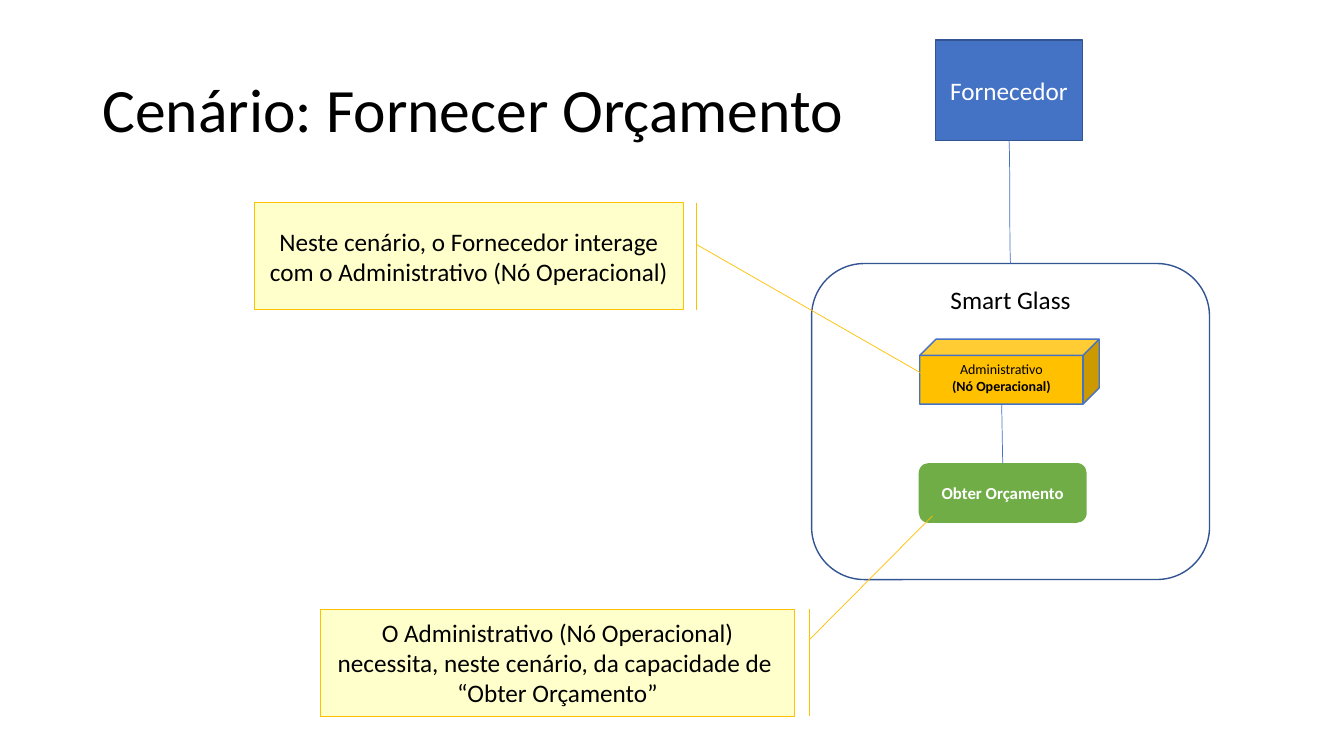
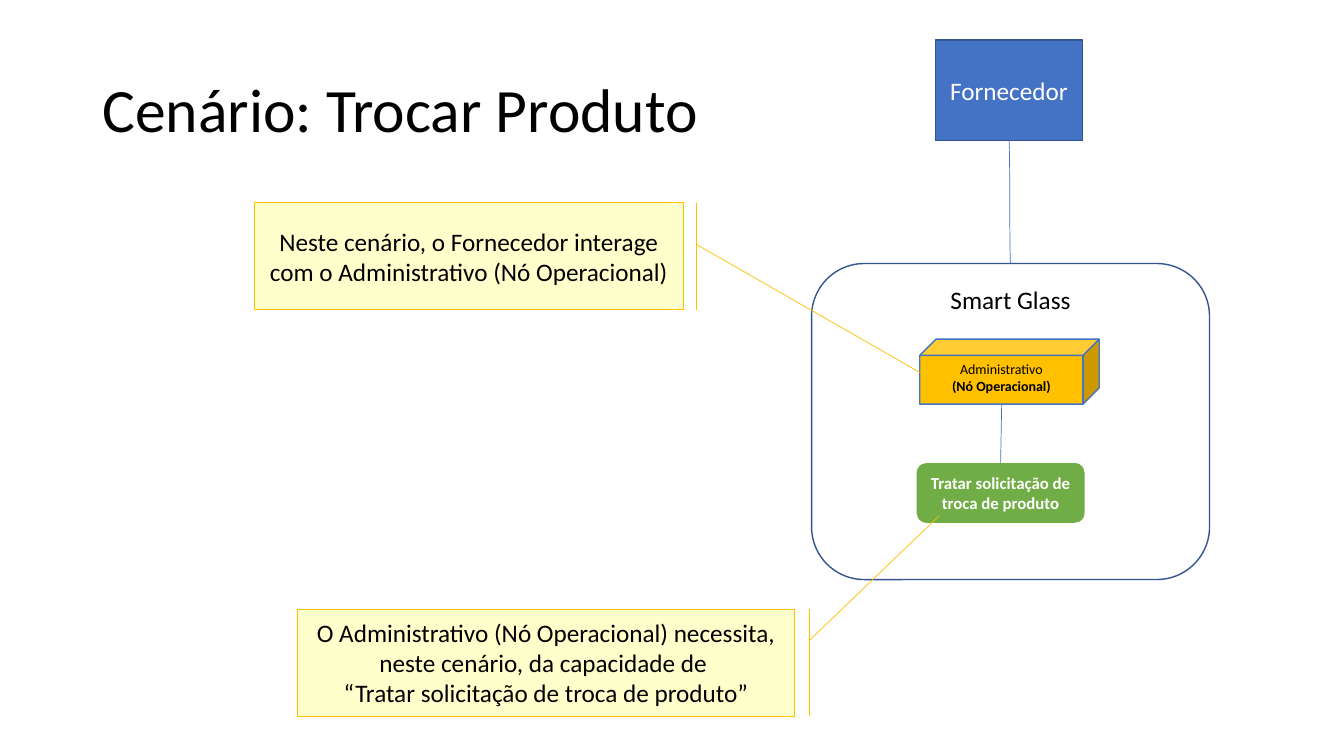
from pptx import Presentation
from pptx.dml.color import RGBColor
from pptx.enum.shapes import MSO_CONNECTOR, MSO_SHAPE
from pptx.enum.text import MSO_ANCHOR, MSO_AUTO_SIZE, PP_ALIGN
from pptx.oxml.ns import qn
from pptx.util import Emu, Pt
from lxml import etree

RECTANGLE = MSO_SHAPE.RECTANGLE
ROUNDED = MSO_SHAPE.ROUNDED_RECTANGLE
CUBE = MSO_SHAPE.CUBE
CALLOUT = MSO_SHAPE.LINE_CALLOUT_1_BORDER_AND_ACCENT_BAR
STRAIGHT = MSO_CONNECTOR.STRAIGHT
CURVE = MSO_CONNECTOR.CURVE
TOP = MSO_ANCHOR.TOP
MIDDLE = MSO_ANCHOR.MIDDLE
LEFT = PP_ALIGN.LEFT
CENTER = PP_ALIGN.CENTER
NO_AUTOFIT = MSO_AUTO_SIZE.NONE

TITLE_ONLY = 5
SITE_TOP, SITE_BOTTOM = 0, 2
FONT = "Calibri"
BLACK, WHITE = "000000", "FFFFFF"
BLUE, DARK_BLUE = "4472C4", "325491"
GOLD, GREEN, CREAM = "FFC000", "70AD47", "FFFFCC"

ACTOR_BOX = (891, 38, 140, 96)
SYSTEM_BOX = (773, 251, 379, 301)
NODE_BOX = (876, 323, 171, 62)
NODE_EXIT = (954, 385)
CAPABILITY_TOP, CAPABILITY_SIZE = 441, (160, 57)
ACTOR_NOTE_BOX = (242, 193, 409, 102)
NEED_NOTE_TOP, NEED_NOTE_RIGHT, NEED_NOTE_HEIGHT = 580, 757, 102
ACTOR_POINTER = (0.39, 1.03, 1.63, 1.57)
NEED_POINTER = (0.29, 1.03, -0.87, 1.29)

SCENARIOS = [
    ("Fornecer Orçamento", "Obter Orçamento", 875, 305),
    ("Trocar Produto", "Tratar solicitação de troca de produto", 873, 283),
]


def px(length):
    """Turn whole pixels into EMU."""
    return Emu(length * 9525)


def color(value):
    """Turn a hex string into a colour."""
    return RGBColor.from_string(value)


class Deck:
    """Hold the shared style and the current slide."""

    def __init__(self):
        """Start an empty widescreen presentation."""
        self.presentation = Presentation()
        self.presentation.slide_width = px(1280)
        self.presentation.slide_height = px(720)
        self.slide = None

    def add_slide(self, title):
        """Add a slide and format its title placeholder."""
        layout = self.presentation.slide_layouts[TITLE_ONLY]
        self.slide = self.presentation.slides.add_slide(layout)
        shape = self.slide.shapes.title
        shape.left, shape.top, shape.width, shape.height = map(px, (88, 38, 1104, 139))
        self.set_text(shape, title, 44, BLACK, align=LEFT)
        shape.text_frame.auto_size = NO_AUTOFIT
        shape.text_frame.paragraphs[0].line_spacing = 0.9

    def set_text(self, shape, text, size, text_color, bold=False, anchor=MIDDLE, align=CENTER):
        """Fill a shape with text in the shared font."""
        frame = shape.text_frame
        frame.text = text
        frame.word_wrap = True
        frame.vertical_anchor = anchor
        for paragraph in frame.paragraphs:
            paragraph.alignment = align
            for run in paragraph.runs:
                run.font.name = FONT
                run.font.size = Pt(size)
                run.font.bold = bold
                run.font.color.rgb = color(text_color)

    def box(self, kind, bounds, text, size, fill=None, line=None, line_width=1,
            text_color=BLACK, bold=False, anchor=MIDDLE):
        """Add a preset shape with text."""
        shape = self.slide.shapes.add_shape(kind, *map(px, bounds))
        shape.shadow.inherit = False
        if fill:
            shape.fill.solid()
            shape.fill.fore_color.rgb = color(fill)
        else:
            shape.fill.background()
        if line:
            shape.line.color.rgb = color(line)
            shape.line.width = Pt(line_width)
        else:
            shape.line.fill.background()
        self.set_text(shape, text, size, text_color, bold, anchor)
        return shape

    def note(self, bounds, text, pointer):
        """Add a callout whose pointer follows the given adjustments."""
        shape = self.box(CALLOUT, bounds, text, 18, CREAM, GOLD, 0.5)
        for index, value in enumerate(pointer):
            shape.adjustments[index] = value

    def connect(self, kind, start, target):
        """Draw a line from a point to the top of a shape."""
        connector = self.slide.shapes.add_connector(kind, *map(px, start), *map(px, start))
        connector.end_connect(target, SITE_TOP)
        connector.line.color.rgb = color(BLUE)
        connector.line.width = Pt(0.5)
        etree.SubElement(connector._element.spPr, qn("a:effectLst"))
        return connector

    def scenario(self, name, capability, capability_left, note_left):
        """Build one scenario slide."""
        self.add_slide(f"Cenário: {name}")
        node = self.box(CUBE, NODE_BOX, "Administrativo\n(Nó Operacional)", 10,
                        GOLD, BLUE, anchor=TOP)
        node.text_frame.paragraphs[1].runs[0].font.bold = True
        ability = self.box(ROUNDED, (capability_left, CAPABILITY_TOP, *CAPABILITY_SIZE),
                           capability, 12, GREEN, text_color=WHITE, bold=True)
        actor = self.box(RECTANGLE, ACTOR_BOX, "Fornecedor", 18, BLUE, DARK_BLUE,
                         text_color=WHITE)
        system = self.box(ROUNDED, SYSTEM_BOX, "Smart Glass", 18, line=DARK_BLUE, anchor=TOP)
        interaction = self.connect(CURVE, ACTOR_BOX[:2], system)
        interaction.begin_connect(actor, SITE_BOTTOM)
        self.note(ACTOR_NOTE_BOX,
                  "Neste cenário, o Fornecedor interage com o Administrativo (Nó Operacional)",
                  ACTOR_POINTER)
        self.note((note_left, NEED_NOTE_TOP, NEED_NOTE_RIGHT - note_left, NEED_NOTE_HEIGHT),
                  "O Administrativo (Nó Operacional) necessita, neste cenário, "
                  f"da capacidade de \n“{capability}”",
                  NEED_POINTER)
        self.connect(STRAIGHT, NODE_EXIT, ability)


def main():
    """Build every scenario and save the file."""
    deck = Deck()
    for scenario in SCENARIOS:
        deck.scenario(*scenario)
    deck.presentation.save("out.pptx")


if __name__ == "__main__":
    main()
